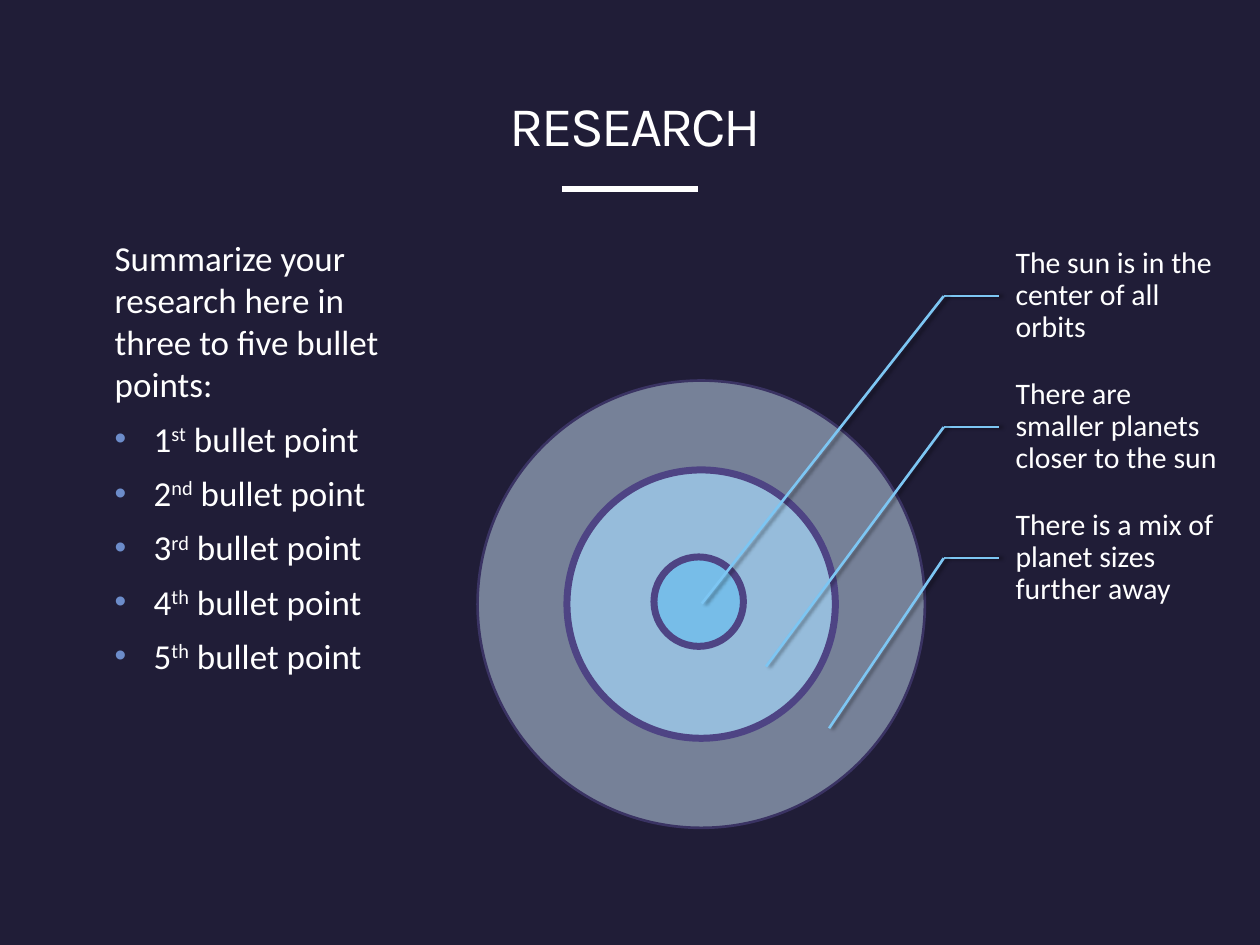
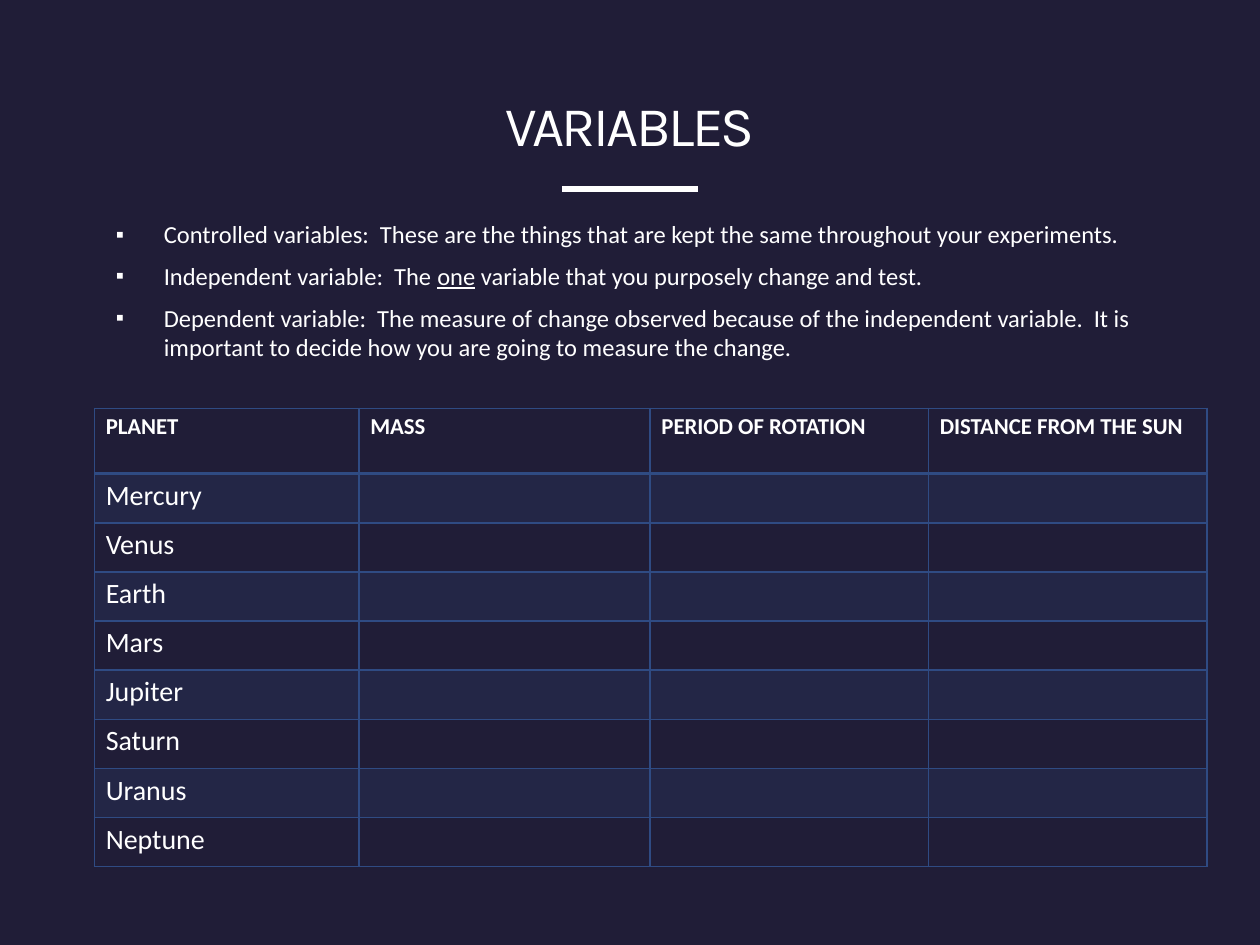
import pptx
import pptx.util
import pptx.dml.color
import pptx.enum.shapes
import pptx.enum.text
import pptx.oxml
import pptx.oxml.ns

Inches = pptx.util.Inches
Pt = pptx.util.Pt
qn = pptx.oxml.ns.qn

BACKGROUND = "201D37"
WHITE = "FFFFFF"
CALLOUT_LINE = "7DC6F3"
RING_EDGE = "4E4484"
TABLE_BLUE = "2F4B83"
BULLET_BLUE = "6C8CCA"
TITLE_FONT = "Karla"
BODY_FONT = "Calibri"
CALLOUT_PITCH = 1.04

ORDINALS = ["st", "nd", "rd", "th", "th"]
CALLOUTS = [
    "The sun is in the center of all orbits",
    "There are smaller planets closer to the sun",
    "There is a mix of planet sizes further away",
]
CALLOUT_TARGETS = [(5.57, 4.79), (6.08, 5.29), (6.58, 5.78)]
RINGS = [
    (3.79, 3.02, 3.55, "CCE5F9", 50, "3A3363", 1.5),
    (4.5, 3.73, 2.13, "A1D0F2", 75, RING_EDGE, 4),
    (5.19, 4.42, 0.71, "77BDE8", 100, RING_EDGE, 4),
]
VARIABLES = [
    "Controlled variables:  These are the things that are kept the same "
    "throughout your experiments.",
    [("Independent variable:  The ", {}), ("one", {"underline": True}),
     (" variable that you purposely change and test.", {})],
    "Dependent variable:  The measure of change observed because of the "
    "independent variable.  It is important to decide how you are going to "
    "measure the change.",
]
HEADINGS = ["PLANET", "MASS", "PERIOD OF ROTATION", "DISTANCE FROM THE SUN"]
PLANETS = ["Mercury", "Venus", "Earth", "Mars",
           "Jupiter", "Saturn", "Uranus", "Neptune"]
COLUMN_WIDTHS = [2.1, 2.31, 2.21, 2.21]


def color(value):
    return pptx.dml.color.RGBColor.from_string(value)


def add_xml(parent, markup):
    node = pptx.oxml.parse_xml(
        markup.replace("NS", pptx.oxml.ns.nsdecls("a"), 1))
    parent.append(node)
    return node


def paint(fill, element, value, opacity=100):
    fill.solid()
    fill.fore_color.rgb = color(value)
    if opacity < 100:
        tint = next(element.iter(qn("a:srgbClr")))
        add_xml(tint, f'<a:alpha NS val="{opacity * 1000}"/>')


def set_bullet(para, left, hanging, symbol, symbol_color):
    properties = para._p.get_or_add_pPr()
    properties.set("marL", str(Inches(left)))
    properties.set("indent", str(Inches(hanging)))
    if not symbol:
        add_xml(properties, "<a:buNone NS/>")
        return
    add_xml(properties, f'<a:buClr NS><a:srgbClr val="{symbol_color}"/></a:buClr>')
    add_xml(properties, '<a:buSzPct NS val="95000"/>')
    add_xml(properties, f'<a:buChar NS char="{symbol}"/>')


def write(para, text, size, font=BODY_FONT, bold=False, align=None,
          before=0, line_spacing=1.0, tracking=0):
    para.alignment = align
    para.space_before = Pt(before)
    para.line_spacing = line_spacing
    para.font.size = Pt(size)
    spans = [(text, {})] if isinstance(text, str) else text
    for words, style in spans:
        span = para.add_run()
        span.text = words
        span.font.name = font
        span.font.size = Pt(size)
        span.font.bold = bold
        span.font.color.rgb = color(WHITE)
        if style.get("underline"):
            span.font.underline = True
        properties = span._r.get_or_add_rPr()
        if style.get("superscript"):
            properties.set("baseline", "30000")
        if tracking:
            properties.set("spc", str(int(tracking * 100)))


def place(box, left, top, width, height):
    box.left, box.top = Inches(left), Inches(top)
    box.width, box.height = Inches(width), Inches(height)
    frame = box.text_frame
    frame.word_wrap = True
    frame.auto_size = pptx.enum.text.MSO_AUTO_SIZE.NONE
    frame.vertical_anchor = pptx.enum.text.MSO_ANCHOR.TOP
    return frame


def add_line(slide, start, end, line_color, width, shadow=False):
    line = slide.shapes.add_connector(
        pptx.enum.shapes.MSO_CONNECTOR.STRAIGHT,
        Inches(start[0]), Inches(start[1]), Inches(end[0]), Inches(end[1]))
    line.line.color.rgb = color(line_color)
    line.line.width = Pt(width)
    effects = add_xml(line._element.spPr, "<a:effectLst NS/>")
    if shadow:
        add_xml(effects, f'<a:outerShdw NS blurRad="{Pt(2)}" dist="{Pt(2)}" dir="0">'
                '<a:srgbClr val="000000"><a:alpha val="40000"/></a:srgbClr>'
                '</a:outerShdw>')


def add_titled_slide(deck, title, title_area):
    slide = deck.slides.add_slide(deck.slide_layouts[1])
    slide.background.fill.solid()
    slide.background.fill.fore_color.rgb = color(BACKGROUND)
    frame = place(slide.shapes.title, *title_area)
    write(frame.paragraphs[0], title, 32, font=TITLE_FONT, tracking=-1.5,
          align=pptx.enum.text.PP_ALIGN.CENTER)
    add_line(slide, (4.46, 1.5), (5.54, 1.5), WHITE, 3)
    return slide


def fill_list(slide, area, items, size):
    frame = place(slide.placeholders[1], *area)
    for index, (text, bullet) in enumerate(items):
        para = frame.add_paragraph() if index else frame.paragraphs[0]
        set_bullet(para, *bullet)
        write(para, text, size, before=7 if index else 0,
              align=pptx.enum.text.PP_ALIGN.LEFT)


def add_ring(slide, left, top, diameter, fill, opacity, edge, edge_width):
    ring = slide.shapes.add_shape(
        pptx.enum.shapes.MSO_SHAPE.OVAL,
        Inches(left), Inches(top), Inches(diameter), Inches(diameter))
    ring.shadow.inherit = False
    paint(ring.fill, ring._element.spPr, fill, opacity)
    ring.line.color.rgb = color(edge)
    ring.line.width = Pt(edge_width)


def add_callout(slide, text, top, target):
    area = (7.93, top, 1.78, CALLOUT_PITCH)
    frame = place(slide.shapes.add_textbox(0, 0, 0, 0), *area)
    frame.vertical_anchor = pptx.enum.text.MSO_ANCHOR.MIDDLE
    frame.margin_left = Inches(0.13)
    frame.margin_top = frame.margin_right = frame.margin_bottom = Inches(0.02)
    write(frame.paragraphs[0], text, 17, line_spacing=0.9)
    elbow = (7.49, top + CALLOUT_PITCH / 2)
    add_line(slide, elbow, (7.93, elbow[1]), CALLOUT_LINE, 1.5, shadow=True)
    add_line(slide, elbow, target, CALLOUT_LINE, 1.5, shadow=True)


def set_borders(cell, widths):
    properties = cell._tc.get_or_add_tcPr()
    for position, (side, width) in enumerate(widths.items()):
        border = add_xml(
            properties,
            f'<a:ln{side} NS w="{Pt(width)}"><a:solidFill>'
            f'<a:srgbClr val="{TABLE_BLUE}"/></a:solidFill></a:ln{side}>')
        properties.insert(position, border)


def add_planet_table(slide):
    rows = [HEADINGS] + [[planet, "", "", ""] for planet in PLANETS]
    table = slide.shapes.add_table(
        len(rows), len(HEADINGS), Inches(0.75), Inches(3.24),
        Inches(sum(COLUMN_WIDTHS)), Inches(3.64)).table
    table.first_row = table.horz_banding = False
    for column, width in zip(table.columns, COLUMN_WIDTHS):
        column.width = Inches(width)
    for row_index, texts in enumerate(rows):
        heading = row_index == 0
        table.rows[row_index].height = Inches(0.52 if heading else 0.39)
        for column_index, text in enumerate(texts):
            cell = table.cell(row_index, column_index)
            cell.margin_left = cell.margin_right = Inches(0.09)
            cell.margin_top = cell.margin_bottom = Inches(0.04)
            if row_index % 2:
                paint(cell.fill, cell._tc.get_or_add_tcPr(), TABLE_BLUE, 20)
            else:
                cell.fill.background()
            set_borders(cell, {"L": 1, "R": 1, "T": 2 if row_index == 1 else 1,
                               "B": 2 if heading else 1})
            write(cell.text_frame.paragraphs[0], text if text else [],
                  13 if heading else 16, bold=heading)


def build_research(deck):
    slide = add_titled_slide(deck, "RESEARCH", (0.75, 0.67, 8.58, 0.58))
    items = [("Summarize your research here in three to five bullet points:",
              (0.06, 0, None, None))]
    for number, suffix in enumerate(ORDINALS, 1):
        spans = [(str(number), {}), (suffix, {"superscript": True}),
                 (" bullet point", {})]
        items.append((spans, (0.37, -0.31, "•", BULLET_BLUE)))
    fill_list(slide, (0.75, 1.83, 2.75, 4.74), items, 20)
    for ring in RINGS:
        add_ring(slide, *ring)
    for index, (text, target) in enumerate(zip(CALLOUTS, CALLOUT_TARGETS)):
        add_callout(slide, text, 1.83 + index * CALLOUT_PITCH, target)


def build_variables(deck):
    slide = add_titled_slide(deck, "VARIABLES", (0.5, 0.67, 9, 0.69))
    items = [(text, (0.45, -0.38, "▪", WHITE)) for text in VARIABLES]
    fill_list(slide, (0.75, 1.69, 9, 1.31), items, 14)
    add_planet_table(slide)


def main():
    deck = pptx.Presentation()
    deck.slide_width, deck.slide_height = Inches(10), Inches(7.5)
    build_research(deck)
    build_variables(deck)
    deck.save("out.pptx")


if __name__ == "__main__":
    main()
